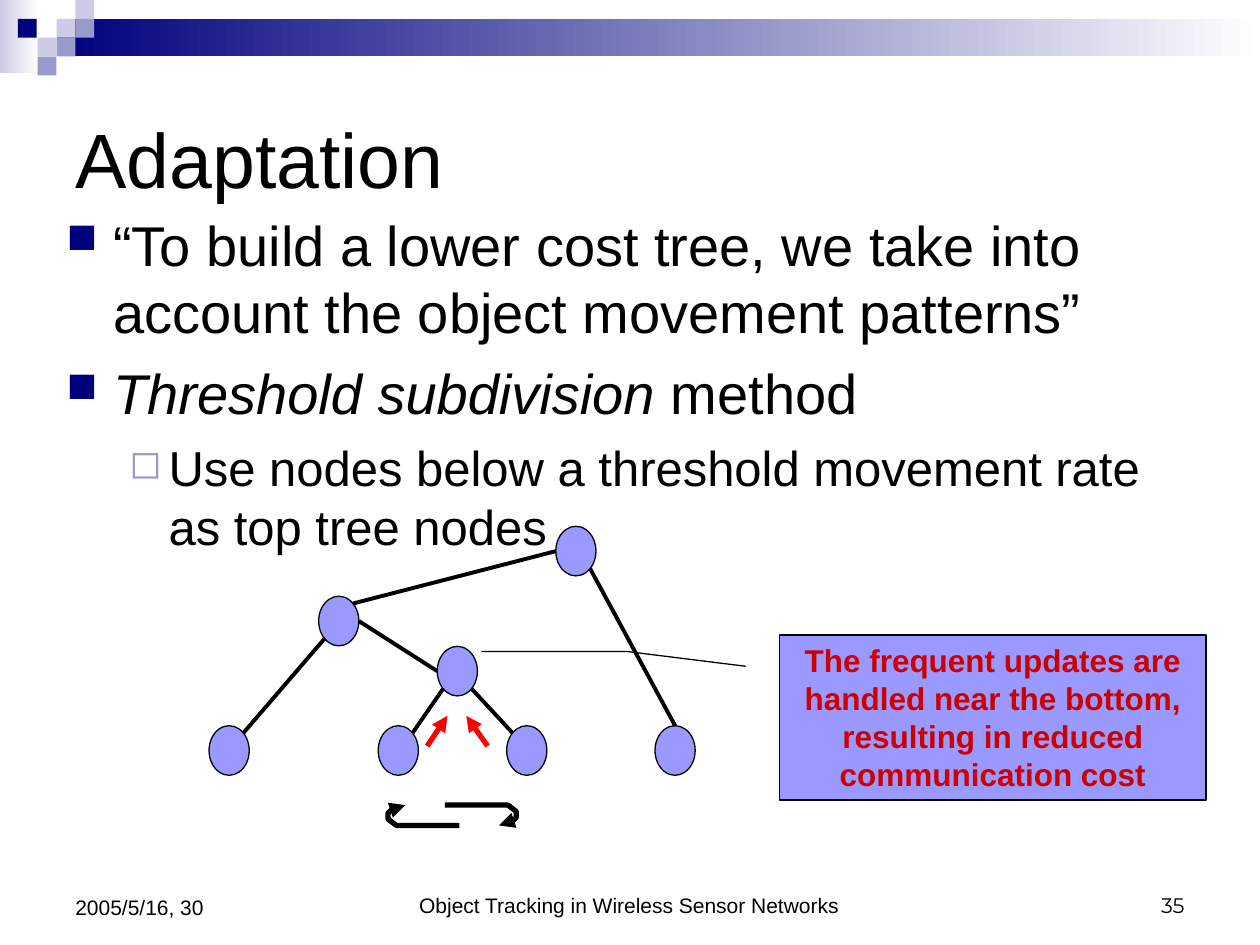
"""Build the Adaptation slide on threshold subdivision for object tracking trees."""
from math import cos, radians, sin
from typing import NamedTuple

from lxml import etree
from pptx import Presentation
from pptx.dml.color import RGBColor
from pptx.enum.shapes import MSO_CONNECTOR, MSO_SHAPE
from pptx.enum.text import MSO_ANCHOR, PP_ALIGN
from pptx.oxml.ns import qn
from pptx.util import Cm, Pt

RECTANGLE, OVAL, CALLOUT = MSO_SHAPE.RECTANGLE, MSO_SHAPE.OVAL, MSO_SHAPE.LINE_CALLOUT_2
STRAIGHT = MSO_CONNECTOR.STRAIGHT
LEFT, CENTER, RIGHT = PP_ALIGN.LEFT, PP_ALIGN.CENTER, PP_ALIGN.RIGHT
TOP, MIDDLE, BOTTOM = MSO_ANCHOR.TOP, MSO_ANCHOR.MIDDLE, MSO_ANCHOR.BOTTOM
COLORS = {
    "white": "FFFFFF", "black": "000000", "navy": "00007D", "pale": "CCCCE6",
    "mauve": "9999CC", "node": "9999FF", "red": "FF0000", "crimson": "CC0000",
}
NODE_WIDTH, NODE_HEIGHT = 0.81, 1.0
TILE = 0.38


class Area(NamedTuple):
    left: float
    top: float
    width: float
    height: float


class Point(NamedTuple):
    x: float
    y: float


class Edge(NamedTuple):
    parent: str
    parent_angle: int
    child: str
    child_angle: int


class Bullet(NamedTuple):
    spans: tuple
    size: int
    symbol: str
    color: str
    percent: int
    margin: float
    hanging: float
    before: int


class Footer(NamedTuple):
    text: str
    area: Area
    align: PP_ALIGN
    font: str


TILES = [
    (Point(1.14, 0.38), "pale"), (Point(1.52, 0), "pale"), (Point(1.52, 0.38), "mauve"),
    (Point(0.76, 0.76), "pale"), (Point(0.36, 0.38), "navy"), (Point(1.14, 0.76), "mauve"),
    (Point(0.76, 1.14), "mauve"),
]
LEAF_Y = 15.13
NODES = {
    "root": Point(11.61, 11.11), "branch": Point(6.83, 12.52), "hub": Point(9.22, 13.53),
    "leaf 1": Point(4.62, LEAF_Y), "leaf 2": Point(8.03, LEAF_Y),
    "leaf 3": Point(10.62, LEAF_Y), "leaf 4": Point(13.61, LEAF_Y),
}
EDGES = [
    Edge("root", 180, "branch", 315), Edge("branch", 135, "leaf 1", 315),
    Edge("branch", 0, "hub", 180), Edge("hub", 135, "leaf 2", 315),
    Edge("hub", 45, "leaf 3", 225), Edge("root", 45, "leaf 4", 270),
]
UPDATES = [(Point(8.61, 15.04), Point(9.02, 14.43)), (Point(9.83, 15.04), Point(9.4, 14.43))]
HOOK = [(8.97, 16.23), (10.24, 16.23), (10.41, 16.36), (10.41, 16.48), (10.24, 16.64), (10.06, 16.64)]
BULLETS = [
    Bullet((("“To build a lower cost tree, we take into account the object movement patterns”", False),),
           32, "■", "navy", 75, 0.94, 0.94, 0),
    Bullet((("Threshold subdivision ", True), ("method", False)), 32, "■", "navy", 75, 0.94, 0.94, 8),
    Bullet((("Use nodes below a threshold movement rate as top tree nodes", False),),
           28, "◻", "mauve", 80, 2.06, 0.79, 7),
]
FOOTERS = [
    Footer("Object Tracking in Wireless Sensor Networks", Area(7.49, 17.35, 10.39, 1.27), CENTER, "Arial"),
    Footer("35", Area(18.21, 17.35, 5.92, 1.27), RIGHT, "Montserrat"),
    Footer("2005/5/16, 30", Area(1.27, 17.35, 5.92, 1.32), LEFT, "Arial"),
]


def rgb(name: str) -> RGBColor:
    return RGBColor.from_string(COLORS[name])


def style_font(font, size: int, color: str = "black", name: str = "Arial") -> None:
    font.size, font.name = Pt(size), name
    font.color.rgb = rgb(color)


def set_text(box, text: str, size: int, align, anchor, color: str = "black", name: str = "Arial"):
    frame = box.text_frame
    frame.text = text
    frame.word_wrap, frame.vertical_anchor = True, anchor
    para = frame.paragraphs[0]
    para.alignment = align
    span = para.runs[0]
    style_font(span.font, size, color, name)
    return span


def add_box(page, kind, area: Area, fill: str, outlined: bool = False):
    shape = page.shapes.add_shape(kind, *map(Cm, area))
    shape.shadow.inherit = False
    shape.fill.solid()
    shape.fill.fore_color.rgb = rgb(fill)
    if outlined:
        shape.line.color.rgb = rgb("black")
        shape.line.width = Pt(0.75)
    else:
        shape.line.fill.background()
    return shape


def add_fade(page, area: Area, color: str) -> None:
    fill = add_box(page, RECTANGLE, area, color).fill
    fill.gradient()
    fill.gradient_angle = 180
    for stop, name, position in zip(fill.gradient_stops, ("white", color), (0, 1)):
        stop.color.rgb = rgb(name)
        stop.position = position


def style_line(shape, color: str, weight: float, arrow: bool) -> None:
    shape.line.color.rgb = rgb(color)
    shape.line.width = Pt(weight)
    if arrow:
        outline = shape.element.spPr.find(qn("a:ln"))
        etree.SubElement(outline, qn("a:tailEnd"), type="triangle")


def add_line(page, start: Point, end: Point, color: str, weight: float, arrow: bool = False) -> None:
    line = page.shapes.add_connector(STRAIGHT, *map(Cm, (*start, *end)))
    style_line(line, color, weight, arrow)
    etree.SubElement(line.element.spPr, qn("a:effectLst"))


def rim(node: str, angle: int) -> Point:
    center, turn = NODES[node], radians(angle)
    return Point(center.x + NODE_WIDTH / 2 * cos(turn), center.y + NODE_HEIGHT / 2 * sin(turn))


def add_hook(page, left: float, rotation: int) -> None:
    start, *rest = [(Cm(x), Cm(y)) for x, y in HOOK]
    builder = page.shapes.build_freeform(*start)
    builder.add_line_segments(rest, close=False)
    hook = builder.convert_to_shape()
    hook.left, hook.rotation = Cm(left), rotation
    hook.shadow.inherit = False
    hook.fill.background()
    style_line(hook, "black", 3, True)


def add_bullet(para, bullet: Bullet) -> None:
    properties = para._p.get_or_add_pPr()
    properties.set("marL", str(Cm(bullet.margin)))
    properties.set("indent", str(-Cm(bullet.hanging)))
    tint = etree.SubElement(properties, qn("a:buClr"))
    etree.SubElement(tint, qn("a:srgbClr"), val=COLORS[bullet.color])
    etree.SubElement(properties, qn("a:buSzPct"), val=str(bullet.percent * 1000))
    etree.SubElement(properties, qn("a:buChar"), char=bullet.symbol)
    para.space_before = Pt(bullet.before)
    for text, italic in bullet.spans:
        span = para.add_run()
        span.text = text
        style_font(span.font, bullet.size)
        span.font.italic = italic


def main() -> None:
    deck = Presentation()
    deck.slide_width, deck.slide_height = Cm(25.4), Cm(19.05)
    page = deck.slides.add_slide(deck.slide_layouts[5])

    add_fade(page, Area(0, 0, 0.79, 1.47), "pale")
    add_fade(page, Area(1.14, 0.38, 24.26, 0.76), "navy")
    for corner, color in TILES:
        add_box(page, RECTANGLE, Area(*corner, TILE, TILE), color)

    title = page.shapes.title
    title.left, title.top, title.width, title.height = map(Cm, (1.27, 1.27, 22.86, 3.81))
    set_text(title, "Adaptation", 44, LEFT, MIDDLE)

    body = page.shapes.add_textbox(*map(Cm, (1.09, 4.11, 22.86, 10.8))).text_frame
    body.word_wrap = True
    for index, bullet in enumerate(BULLETS):
        add_bullet(body.add_paragraph() if index else body.paragraphs[0], bullet)

    for x, y in NODES.values():
        area = Area(x - NODE_WIDTH / 2, y - NODE_HEIGHT / 2, NODE_WIDTH, NODE_HEIGHT)
        add_box(page, OVAL, area, "node", outlined=True)
    for edge in EDGES:
        add_line(page, rim(edge.parent, edge.parent_angle), rim(edge.child, edge.child_angle), "black", 2.25)
    for start, end in UPDATES:
        add_line(page, start, end, "red", 3, arrow=True)
    add_hook(page, 8.97, 0)
    add_hook(page, 7.82, 180)

    callout = add_box(page, CALLOUT, Area(15.72, 12.8, 8.59, 3.33), "node", outlined=True)
    for index, value in enumerate((0.19, -0.08, 0.1, -0.36, 0.1, -0.7)):
        callout.adjustments[index] = value
    message = "The frequent updates are handled near the bottom, resulting in reduced communication cost"
    set_text(callout, message, 18, CENTER, TOP, "crimson").font.bold = True

    for footer in FOOTERS:
        box = page.shapes.add_textbox(*map(Cm, footer.area))
        set_text(box, footer.text, 12, footer.align, BOTTOM, name=footer.font)

    deck.save("out.pptx")


if __name__ == "__main__":
    main()
